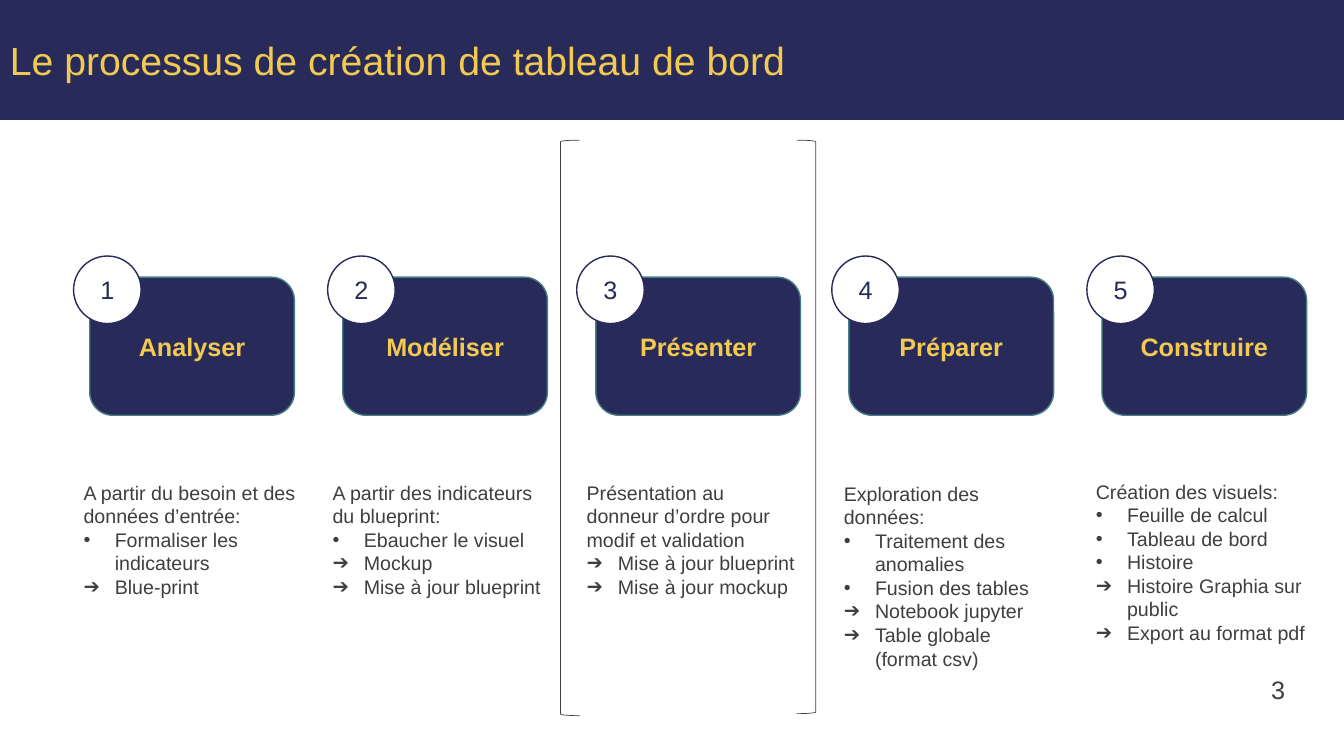
from lxml import etree
from pptx import Presentation
from pptx.dml.color import RGBColor
from pptx.enum.shapes import MSO_SHAPE
from pptx.enum.text import MSO_ANCHOR, PP_ALIGN
from pptx.oxml.ns import qn
from pptx.util import Inches, Pt

RECTANGLE = MSO_SHAPE.RECTANGLE
ROUNDED = MSO_SHAPE.ROUNDED_RECTANGLE
OVAL = MSO_SHAPE.OVAL
LEFT_BRACKET = MSO_SHAPE.LEFT_BRACKET
RIGHT_BRACKET = MSO_SHAPE.RIGHT_BRACKET
MIDDLE = MSO_ANCHOR.MIDDLE
LEFT, CENTER = PP_ALIGN.LEFT, PP_ALIGN.CENTER

FONT = "Arial"
COLORS = {
    "navy": "282B59",
    "gold": "F2CA52",
    "teal": "457E82",
    "text": "3F3F3F",
    "white": "FFFFFF",
}
DOT, ARROW = "•", "➔"

# Step name, badge left, notes left, notes top, intro, bulleted items
STEPS = [
    ("Analyser", 0.73, 0.73, 4.72, "A partir du besoin et des données d’entrée:",
     [(DOT, "Formaliser les indicateurs"), (ARROW, "Blue-print")]),
    ("Modéliser", 3.25, 3.2, 4.72, "A partir des indicateurs du blueprint:",
     [(DOT, "Ebaucher le visuel"), (ARROW, "Mockup"),
      (ARROW, "Mise à jour blueprint")]),
    ("Présenter", 5.72, 5.72, 4.72,
     "Présentation au donneur d’ordre pour modif et validation",
     [(ARROW, "Mise à jour blueprint"), (ARROW, "Mise à jour mockup")]),
    ("Préparer", 8.25, 8.27, 4.73, "Exploration des données:",
     [(DOT, "Traitement des anomalies"), (DOT, "Fusion des tables"),
      (ARROW, "Notebook jupyter"), (ARROW, "Table globale (format csv)")]),
    ("Construire", 10.78, 10.77, 4.71, "Création des visuels:",
     [(DOT, "Feuille de calcul"), (DOT, "Tableau de bord"), (DOT, "Histoire"),
      (ARROW, "Histoire Graphia sur public"), (ARROW, "Export au format pdf")]),
]

deck = Presentation()
deck.slide_width, deck.slide_height = Inches(13.33), Inches(7.5)
page = deck.slides.add_slide(deck.slide_layouts[6])


def add_text(para, text, size, color, bold=False, align=LEFT):
    para.alignment = align
    span = para.add_run()
    span.text = text
    span.font.name = FONT
    span.font.size = Pt(size)
    span.font.bold = bold
    span.font.color.rgb = RGBColor.from_string(COLORS[color])


def add_box(kind, left, top, width, height, fill=None, line=None, weight=1):
    box = page.shapes.add_shape(
        kind, Inches(left), Inches(top), Inches(width), Inches(height))
    box.shadow.inherit = False
    if fill:
        box.fill.solid()
        box.fill.fore_color.rgb = RGBColor.from_string(COLORS[fill])
    else:
        box.fill.background()
    if line:
        box.line.color.rgb = RGBColor.from_string(COLORS[line])
        box.line.width = Pt(weight)
    else:
        box.line.fill.background()
    box.text_frame.vertical_anchor = MIDDLE
    return box


# Slide number
number = page.shapes.add_textbox(
    Inches(12.51), Inches(6.64), Inches(0.64), Inches(0.71))
number.text_frame.word_wrap = True
add_text(number.text_frame.paragraphs[0], "3", 18, "text")

# Title band
band = add_box(RECTANGLE, 0, 0, 13.33, 1.19, "navy")
add_text(band.text_frame.paragraphs[0],
         "Le processus de création de tableau de bord", 28, "gold")

# Steps: card, numbered badge and notes
for index, (name, badge_left, notes_left, notes_top, intro, items) in enumerate(STEPS):
    card = add_box(ROUNDED, 0.89 + 2.51 * index, 2.75, 2.03, 1.37, "navy", "teal")
    add_text(card.text_frame.paragraphs[0], name, 18, "gold", True, CENTER)

    badge = add_box(OVAL, badge_left, 2.54, 0.67, 0.67, "white", "navy")
    add_text(badge.text_frame.paragraphs[0], str(index + 1), 18, "navy", align=CENTER)

    lines = 2 + len(items)
    notes = page.shapes.add_textbox(
        Inches(notes_left), Inches(notes_top), Inches(2.32), Inches(0.1 + 0.24 * lines))
    notes.text_frame.word_wrap = True
    add_text(notes.text_frame.paragraphs[0], intro, 14, "text")
    for bullet, item in items:
        para = notes.text_frame.add_paragraph()
        properties = para._p.get_or_add_pPr()
        properties.set("marL", str(Inches(0.31)))
        properties.set("indent", str(-Inches(0.31)))
        etree.SubElement(properties, qn("a:buFont"), typeface=FONT)
        etree.SubElement(properties, qn("a:buChar"), char=bullet)
        add_text(para, item, 14, "text")

# Brackets around the third step
add_box(LEFT_BRACKET, 5.56, 1.39, 0.19, 5.71, line="text", weight=0.5)
add_box(RIGHT_BRACKET, 7.9, 1.39, 0.19, 5.69, line="text", weight=0.5)

deck.save("out.pptx")
